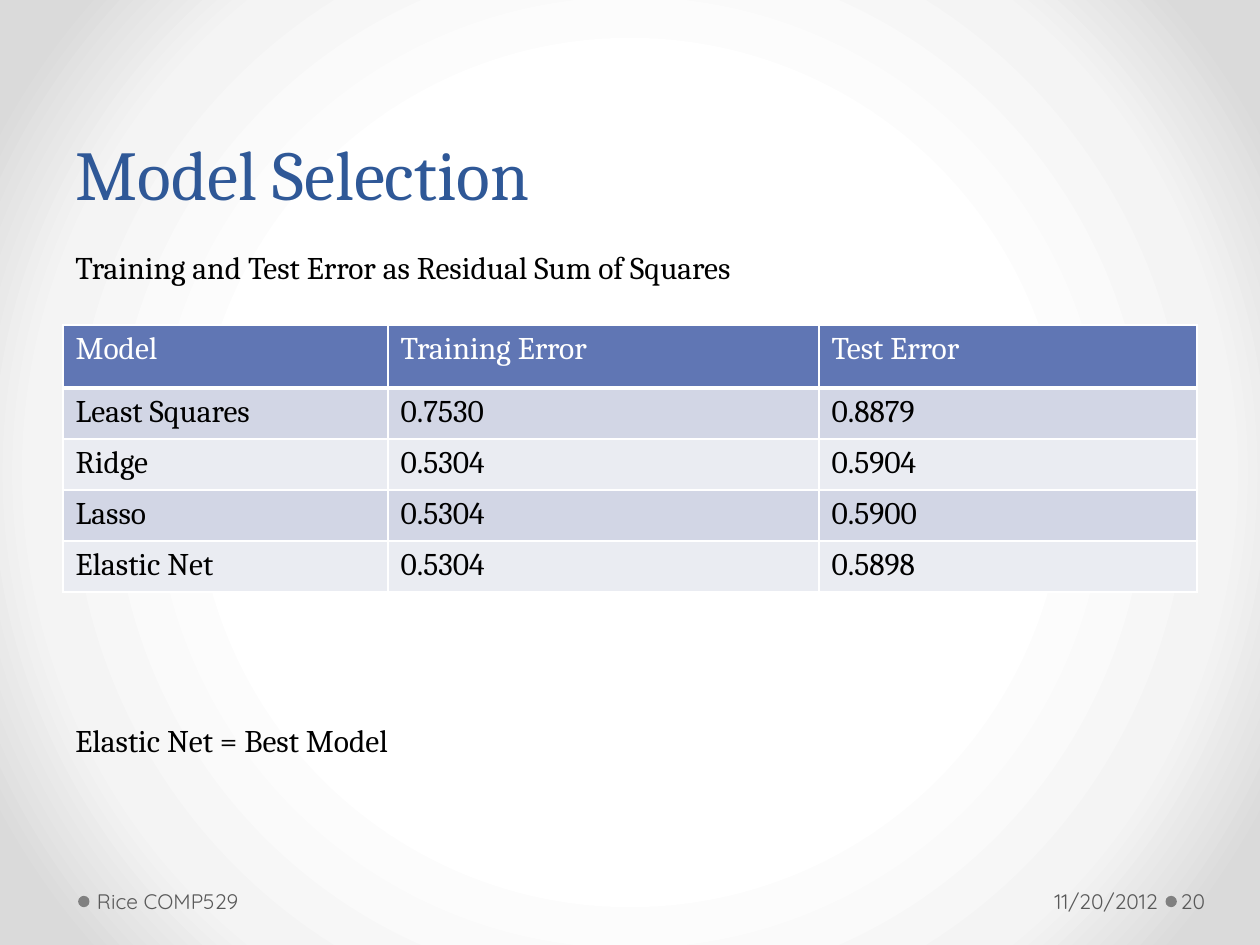
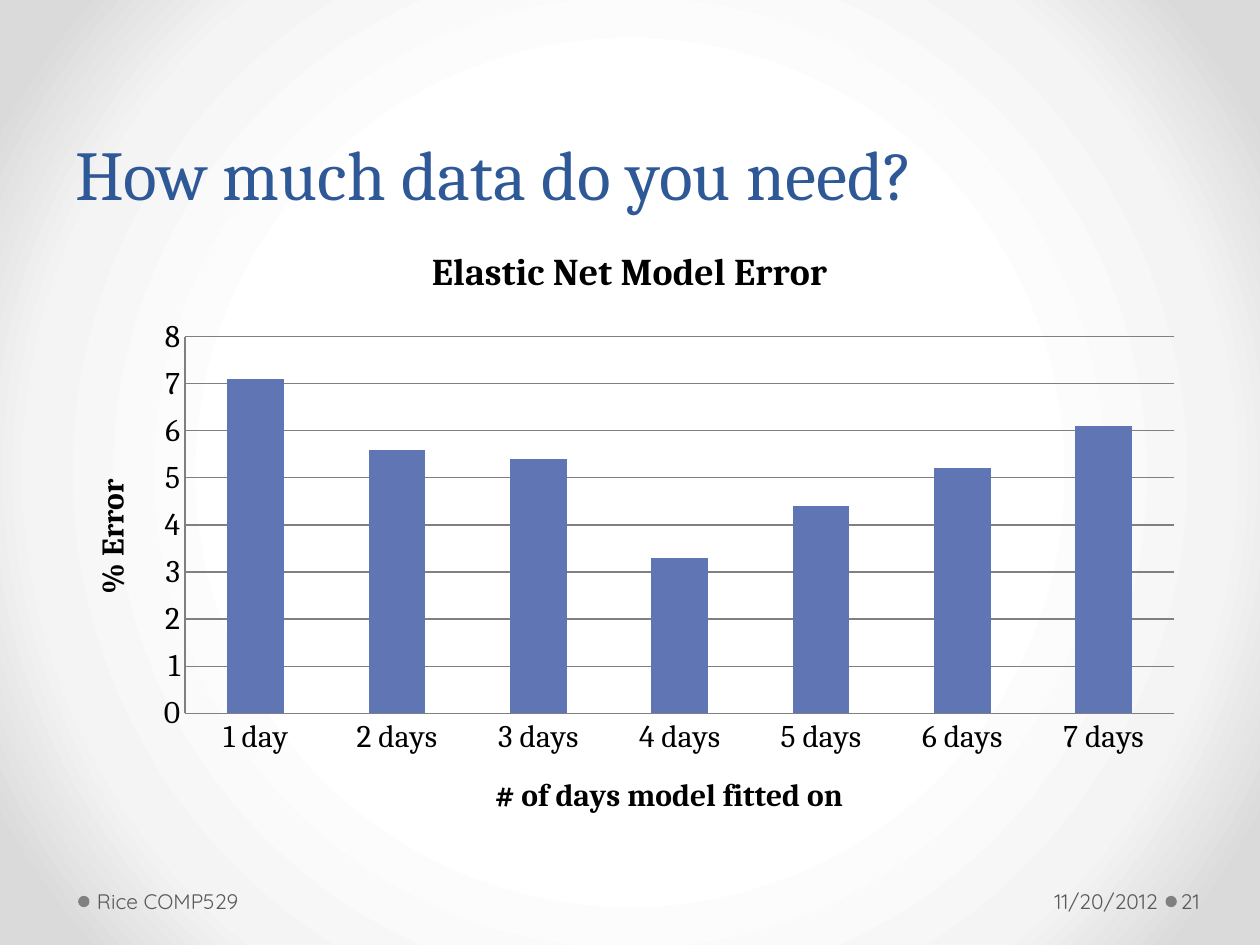
from pptx import Presentation
from pptx.chart.data import CategoryChartData
from pptx.dml.color import RGBColor
from pptx.enum.chart import XL_CHART_TYPE, XL_TICK_MARK
from pptx.enum.shapes import MSO_SHAPE
from pptx.enum.text import MSO_ANCHOR, PP_ALIGN
from pptx.oxml import parse_xml
from pptx.oxml.ns import nsdecls, qn
from pptx.util import Inches, Pt

SERIF, SANS = "Cambria", "Quicksand"
BLACK, WHITE, GRAY, DOT = "000000", "FFFFFF", "595959", "808080"
TITLE, BLUE, BANDS = "2F5897", "6076B4", ("EAECF2", "D2D6E5")
UNIT = Inches(0.5)
MARGIN, CONTENT = 1, 18
FOOTER_TOP, FOOTER_HIGH = 13.9, 0.8


def color(value):
    return RGBColor.from_string(value)


def write(frame, text, font=SERIF, size=18, ink=BLACK, bold=False, align=PP_ALIGN.LEFT,
          anchor=MSO_ANCHOR.TOP, left=0.1, right=0.1, spacing=None):
    frame.word_wrap = True
    frame.vertical_anchor = anchor
    frame.margin_left, frame.margin_right = Inches(left), Inches(right)
    para = frame.paragraphs[0]
    para.alignment = align
    para.line_spacing = spacing
    span = para.add_run()
    span.text = text
    span.font.name, span.font.size, span.font.bold = font, Pt(size), bold
    span.font.color.rgb = color(ink)


deck = Presentation()
deck.slide_width, deck.slide_height = 20 * UNIT, 15 * UNIT

backdrop = deck.slide_master.background.fill
backdrop.gradient()
old_gradient = next(deck.slide_master.element.iter(qn("a:gradFill")))
stops = "".join(
    f'<a:gs pos="{share * 1000}"><a:srgbClr val="{shade}"/></a:gs>'
    for share, shade in ((50, WHITE), (76, "F4F4F4"), (92, "DADADA")))
old_gradient.getparent().replace(old_gradient, parse_xml(
    f'<a:gradFill rotWithShape="1" {nsdecls("a")}><a:gsLst>{stops}</a:gsLst>'
    '<a:path path="circle"><a:fillToRect l="50000" t="50000" r="50000" b="50000"/></a:path>'
    '</a:gradFill>'))

pages = []
for number, title in ((20, "Model Selection"), (21, "How much data do you need?")):
    page = deck.slides.add_slide(deck.slide_layouts[6])
    pages.append(page)
    for column in (18.5, 1.24):
        dot = page.shapes.add_shape(MSO_SHAPE.OVAL, int(column * UNIT), int(14.22 * UNIT),
                                    Inches(0.09), Inches(0.09))
        dot.shadow.inherit = False
        dot.fill.solid()
        dot.fill.fore_color.rgb = color(DOT)
        dot.line.fill.background()
    box = page.shapes.add_textbox(MARGIN * UNIT, UNIT, CONTENT * UNIT, int(2.5 * UNIT))
    write(box.text_frame, title, size=40, ink=TITLE, anchor=MSO_ANCHOR.BOTTOM, spacing=Pt(58))
    for column, width, text, align, left, right in (
            (13.92, 4.56, "11/20/2012", PP_ALIGN.RIGHT, 0.1, 0.05),
            (1.44, 7.72, "Rice COMP529", PP_ALIGN.LEFT, 0.05, 0.1),
            (18.68, 1.22, str(number), PP_ALIGN.LEFT, 0.03, 0.05)):
        box = page.shapes.add_textbox(int(column * UNIT), int(FOOTER_TOP * UNIT),
                                      int(width * UNIT), int(FOOTER_HIGH * UNIT))
        write(box.text_frame, text, font=SANS, size=12, ink=GRAY, align=align,
              anchor=MSO_ANCHOR.MIDDLE, left=left, right=right)

selection_page, data_page = pages

for row, text in ((3.84, "Training and Test Error as Residual Sum of Squares"),
                  (11.34, "Elastic Net = Best Model")):
    box = selection_page.shapes.add_textbox(MARGIN * UNIT, int(row * UNIT),
                                            CONTENT * UNIT, int(0.8 * UNIT))
    write(box.text_frame, text)

errors = (
    ("Model", "Training Error", "Test Error"),
    ("Least Squares", "0.7530", "0.8879"),
    ("Ridge", "0.5304", "0.5904"),
    ("Lasso", "0.5304", "0.5900"),
    ("Elastic Net", "0.5304", "0.5898"),
)
table = selection_page.shapes.add_table(
    len(errors), 3, MARGIN * UNIT, int(5.16 * UNIT), CONTENT * UNIT, int(4.24 * UNIT)).table
table.first_row = table.horz_banding = False
for column, width in zip(table.columns, (5.16, 6.84, 6)):
    column.width = int(width * UNIT)
for index, values in enumerate(errors):
    header = index == 0
    table.rows[index].height = UNIT if header else int(0.81 * UNIT)
    for place, text in enumerate(values):
        cell = table.cell(index, place)
        write(cell.text_frame, text, ink=WHITE if header else BLACK)
        cell.fill.solid()
        cell.fill.fore_color.rgb = color(BLUE if header else BANDS[index % 2])
        properties = cell._tc.get_or_add_tcPr()
        for order, side in enumerate("LRTB"):
            thick = (header and side == "B") or (index == 1 and side == "T")
            properties.insert(order, parse_xml(
                f'<a:ln{side} w="{Pt(3 if thick else 1)}" {nsdecls("a")}>'
                f'<a:solidFill><a:srgbClr val="{WHITE}"/></a:solidFill></a:ln{side}>'))

error_data = CategoryChartData()
error_data.categories = ["1 day"] + [f"{days} days" for days in range(2, 8)]
error_data.add_series("Series 1", (7.1, 5.6, 5.4, 3.3, 4.4, 5.2, 6.1))
chart = data_page.shapes.add_chart(
    XL_CHART_TYPE.COLUMN_CLUSTERED, MARGIN * UNIT, int(3.5 * UNIT),
    CONTENT * UNIT, int(9.9 * UNIT), error_data).chart
chart.has_legend = False
chart.font.name, chart.font.size = SERIF, Pt(18)
chart.font.color.rgb = color(BLACK)
for owner, text, size in ((chart, "Elastic Net Model Error", 21.6),
                          (chart.category_axis, "# of days model fitted on", 18),
                          (chart.value_axis, "% Error", 18)):
    heading = owner.chart_title if owner is chart else owner.axis_title
    para = heading.text_frame.paragraphs[0]
    span = para.add_run()
    span.text = text
    span.font.name, span.font.size, span.font.bold = SERIF, Pt(size), True
    span.font.color.rgb = color(BLACK)
for axis in (chart.category_axis, chart.value_axis):
    axis.major_tick_mark = axis.minor_tick_mark = XL_TICK_MARK.NONE
    axis.format.line.color.rgb = color(DOT)
    axis.format.line.width = Pt(0.75)
scale = chart.value_axis
scale.minimum_scale, scale.maximum_scale, scale.major_unit = 0, 8, 1
scale.tick_labels.number_format = "General"
scale.tick_labels.number_format_is_linked = False
scale.has_major_gridlines = True
scale.major_gridlines.format.line.color.rgb = color(DOT)
scale.major_gridlines.format.line.width = Pt(0.75)
plot = chart.plots[0]
plot.gap_width = 150
plot.vary_by_categories = False
bars = plot.series[0].format.fill
bars.solid()
bars.fore_color.rgb = color(BLUE)

deck.save("out.pptx")
